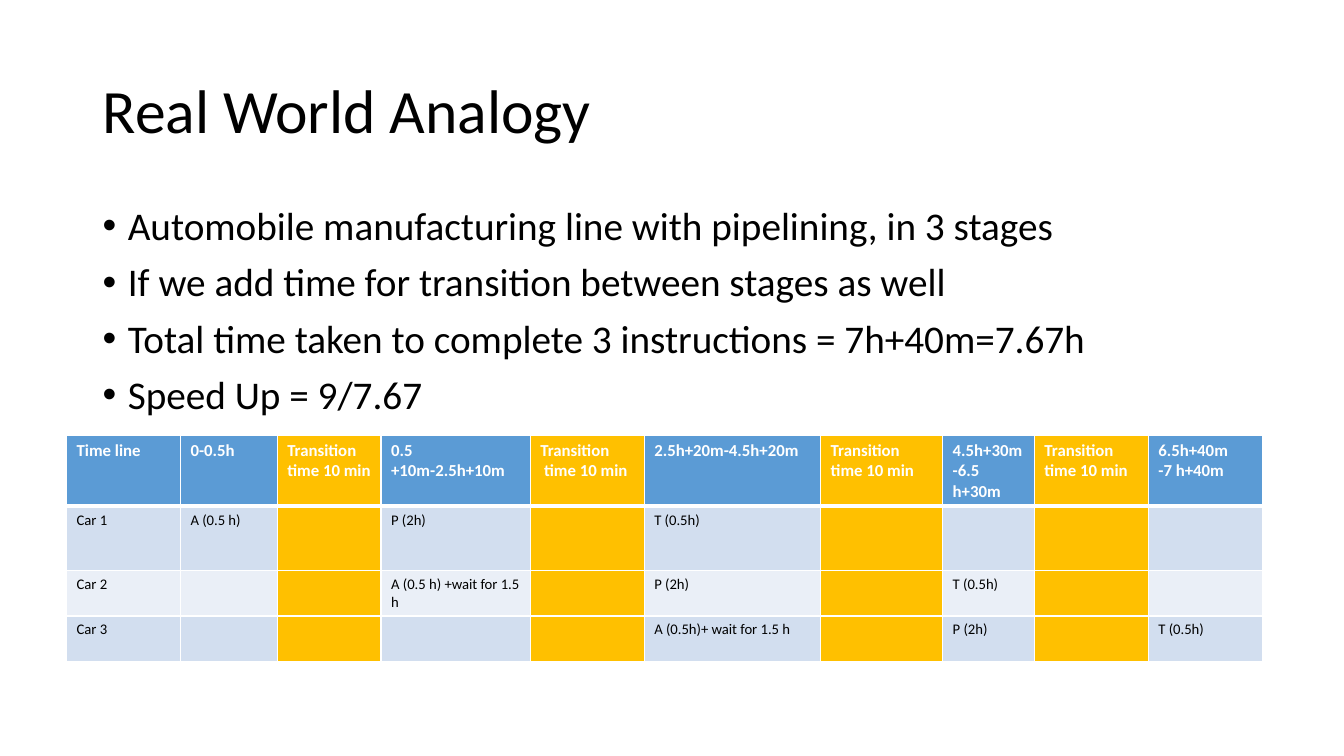
from lxml.etree import SubElement
from pptx import Presentation
from pptx.dml.color import RGBColor
from pptx.enum.text import MSO_ANCHOR as Anchor
from pptx.oxml.ns import qn
from pptx.util import Inches, Pt

FONT = "Calibri"
BLACK, WHITE = "000000", "FFFFFF"
HEADER_BLUE, TRANSITION_GOLD = "5B9BD5", "FFC000"
BANDS = ("D2DEEF", "EAEFF7")

TITLE = "Real World Analogy"
BULLETS = [
    "Automobile manufacturing line with pipelining, in 3 stages ",
    "If we add time for transition between stages as well",
    "Total time taken to complete 3 instructions = 7h+40m=7.67h",
    "Speed Up = 9/7.67",
]
TRANSITION = "Transition time 10 min"
HEADERS = [
    "Time line", "0-0.5h", TRANSITION, "0.5 +10m-2.5h+10m",
    "Transition\n time 10 min", "2.5h+20m-4.5h+20m", TRANSITION,
    "4.5h+30m-6.5 h+30m", TRANSITION, "6.5h+40m\n-7 h+40m",
]
# Each car: its stages by column number
CARS = [
    {0: "Car 1", 1: "A (0.5 h)", 3: "P (2h)", 5: "T (0.5h)"},
    {0: "Car 2", 3: "A (0.5 h) +wait for 1.5 h", 5: "P (2h)", 7: "T (0.5h)"},
    {0: "Car 3", 5: "A (0.5h)+ wait for 1.5 h", 7: "P (2h)", 9: "T (0.5h)"},
]
COLUMN_WIDTHS = [1.13, 0.96, 1.03, 1.48, 1.13, 1.75, 1.21, 0.91, 1.13, 1.13]
ROW_HEIGHTS = [0.54, 0.64, 0.45, 0.45]
TABLE_LEFT, TABLE_TOP = 0.66, 4.32
TEXT_LEFT, TEXT_WIDTH = 0.92, 11.5


def color(hex_value):
    """Turn a hex string into a colour."""
    return RGBColor.from_string(hex_value)


def add_run(paragraph, text, size, hex_value, bold=False):
    """Add one styled run to a paragraph."""
    run = paragraph.add_run()
    run.text = text
    run.font.name, run.font.size, run.font.bold = FONT, Pt(size), bold
    run.font.color.rgb = color(hex_value)


def write_lines(frame, lines, size, hex_value, bold=False):
    """Write each line as a paragraph and return the paragraphs."""
    for number, line in enumerate(lines):
        paragraph = frame.add_paragraph() if number else frame.paragraphs[0]
        add_run(paragraph, line, size, hex_value, bold)
    return frame.paragraphs


def add_text(slide, top, height, lines, size, anchor):
    """Add a wrapped text box and return its paragraphs."""
    box = slide.shapes.add_textbox(
        Inches(TEXT_LEFT), Inches(top), Inches(TEXT_WIDTH), Inches(height))
    frame = box.text_frame
    frame.word_wrap, frame.vertical_anchor = True, anchor
    paragraphs = write_lines(frame, lines, size, BLACK)
    for paragraph in paragraphs:
        paragraph.line_spacing = 0.9
    return paragraphs


def make_bullet(paragraph):
    """Give a paragraph a hanging round bullet."""
    paragraph.space_before = Pt(10)
    properties = paragraph._p.get_or_add_pPr()
    properties.set("marL", str(Inches(0.25)))
    properties.set("indent", str(-Inches(0.25)))
    SubElement(properties, qn("a:buFont"), typeface="Arial")
    SubElement(properties, qn("a:buChar"), char="\u2022")


def add_borders(cell, row):
    """Draw white cell borders, thicker beneath the header row."""
    properties = cell._tc.get_or_add_tcPr()
    widths = {"L": 1, "R": 1, "T": 3 if row == 1 else 1, "B": 3 if row == 0 else 1}
    for side, width in widths.items():
        line = SubElement(properties, qn("a:ln" + side), w=str(Pt(width)))
        fill = SubElement(line, qn("a:solidFill"))
        SubElement(fill, qn("a:srgbClr"), val=WHITE)


def add_timeline(slide):
    """Add the pipeline timetable."""
    shape = slide.shapes.add_table(
        len(ROW_HEIGHTS), len(COLUMN_WIDTHS), Inches(TABLE_LEFT), Inches(TABLE_TOP),
        Inches(sum(COLUMN_WIDTHS)), Inches(sum(ROW_HEIGHTS)))
    table = shape.table
    for column, width in zip(table.columns, COLUMN_WIDTHS):
        column.width = Inches(width)
    rows = [dict(enumerate(HEADERS))] + CARS
    for row, (texts, height) in enumerate(zip(rows, ROW_HEIGHTS)):
        table.rows[row].height = Inches(height)
        is_header = row == 0
        base = HEADER_BLUE if is_header else BANDS[(row - 1) % 2]
        for column, header in enumerate(HEADERS):
            cell = table.cell(row, column)
            add_borders(cell, row)
            cell.fill.solid()
            is_transition = header.startswith("Transition")
            cell.fill.fore_color.rgb = color(TRANSITION_GOLD if is_transition else base)
            if column in texts:
                write_lines(cell.text_frame, texts[column].split("\n"),
                            12 if is_header else 10.5,
                            WHITE if is_header else BLACK, is_header)


presentation = Presentation()
presentation.slide_width, presentation.slide_height = Inches(13.33), Inches(7.5)
slide = presentation.slides.add_slide(presentation.slide_layouts[6])
add_text(slide, 0.4, 1.45, [TITLE], 44, Anchor.MIDDLE)
for bullet in add_text(slide, 2, 4.76, BULLETS, 28, Anchor.TOP):
    make_bullet(bullet)
add_timeline(slide)
presentation.save("out.pptx")
